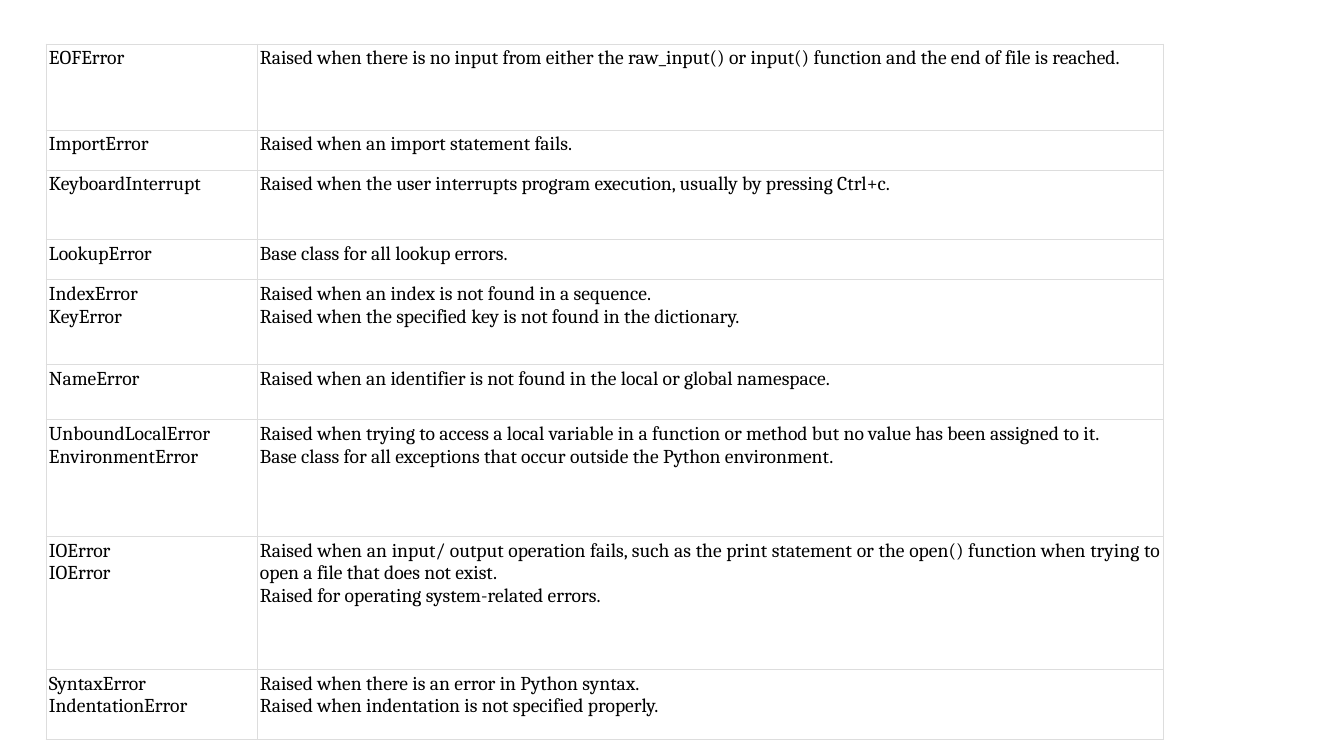
from lxml import etree
from pptx import Presentation
from pptx import util as u
from pptx.dml.color import RGBColor
from pptx.enum import text
from pptx.oxml import ns

COLORS = {"text": "000000", "border": "DDDDDD"}
EMU_PER_PX = 914400 / 100.8
COLUMN_WIDTHS = [211, 907]

ERRORS = [
    (86, [("EOFError", "Raised when there is no input from either the raw_input() or input() function "
           "and the end of file is reached.")]),
    (40, [("ImportError", "Raised when an import statement fails.")]),
    (70, [("KeyboardInterrupt", "Raised when the user interrupts program execution, usually by pressing Ctrl+c.")]),
    (40, [("LookupError", "Base class for all lookup errors.")]),
    (85, [("IndexError", "Raised when an index is not found in a sequence."),
          ("KeyError", "Raised when the specified key is not found in the dictionary.")]),
    (55, [("NameError", "Raised when an identifier is not found in the local or global namespace.")]),
    (117, [("UnboundLocalError", "Raised when trying to access a local variable in a function or method "
            "but no value has been assigned to it."),
           ("EnvironmentError", "Base class for all exceptions that occur outside the Python environment.")]),
    (133, [("IOError", "Raised when an input/ output operation fails, such as the print statement "
            "or the open() function when trying to open a file that does not exist."),
           ("IOError", "Raised for operating system-related errors.")]),
    (70, [("SyntaxError", "Raised when there is an error in Python syntax."),
          ("IndentationError", "Raised when indentation is not specified properly.")]),
]


def px(length):
    return u.Emu(round(length * EMU_PER_PX))


class SlideBuilder:
    font_name = "Cambria"
    font_size = u.Pt(14)
    border_width = u.Pt(0.75)
    cell_margin = 3

    def __init__(self, presentation):
        self.slide = presentation.slides.add_slide(presentation.slide_layouts[6])

    def table(self, left, top, widths, rows):
        heights = [height for height, _ in rows]
        frame = self.slide.shapes.add_table(
            len(rows), len(widths), px(left), px(top), px(sum(widths)), px(sum(heights)))
        table = frame.table
        table.first_row = table.horz_banding = False
        for column, width in zip(table.columns, widths):
            column.width = px(width)
        for row, (height, entries) in zip(table.rows, rows):
            row.height = px(height)
            for cell, lines in zip(row.cells, zip(*entries)):
                self.cell(cell, lines)

    def cell(self, cell, lines):
        cell.margin_left = cell.margin_right = px(self.cell_margin)
        cell.margin_top = cell.margin_bottom = px(self.cell_margin)
        self.borders(cell)
        cell.fill.background()
        cell.text_frame.text = "\n".join(lines)
        for paragraph in cell.text_frame.paragraphs:
            if len(lines) > 1:
                paragraph.alignment = text.PP_ALIGN.JUSTIFY
            paragraph.font.name = self.font_name
            paragraph.font.size = self.font_size
            paragraph.font.color.rgb = RGBColor.from_string(COLORS["text"])

    def borders(self, cell):
        properties = cell._tc.get_or_add_tcPr()
        for side in ("lnL", "lnR", "lnT", "lnB"):
            line = etree.SubElement(properties, ns.qn(f"a:{side}"), w=str(self.border_width))
            fill = etree.SubElement(line, ns.qn("a:solidFill"))
            etree.SubElement(fill, ns.qn("a:srgbClr"), val=COLORS["border"])


def main():
    presentation = Presentation()
    presentation.slide_width = px(1344)
    presentation.slide_height = px(756)
    SlideBuilder(presentation).table(46, 44, COLUMN_WIDTHS, ERRORS)
    presentation.save("out.pptx")


if __name__ == "__main__":
    main()
